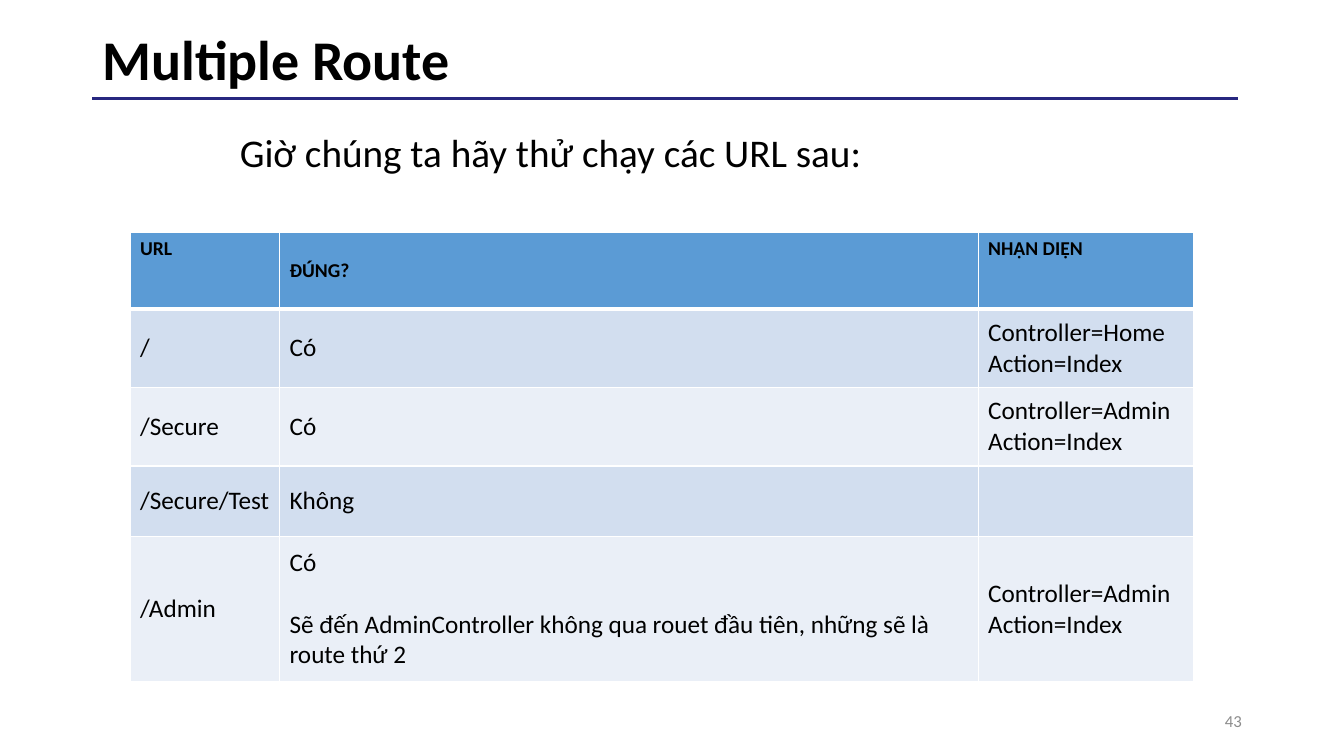
from lxml.etree import SubElement
from pptx import Presentation
from pptx.dml.color import RGBColor
from pptx.enum.shapes import MSO_CONNECTOR
from pptx.enum.text import MSO_ANCHOR, PP_ALIGN
from pptx.oxml.ns import qn
from pptx.util import Pt

THEME = {
    "font": "Calibri",
    "text": "000000", "muted": "8C8C8C", "rule": "272780", "border": "FFFFFF",
    "header": "5B9BD5", "bands": ("D2DEEF", "EAEFF7"),
    "title_size": 40, "lead_size": 28, "body_size": 18, "header_size": 14, "number_size": 12,
}


def add_run(p, text, size, color=THEME["text"], bold=False):
    r = p.add_run()
    r.text = text
    r.font.name = THEME["font"]
    r.font.size = Pt(size)
    r.font.bold = bold
    r.font.color.rgb = RGBColor.from_string(color)


def add_border(cell, side, width):
    ln = SubElement(cell._tc.get_or_add_tcPr(), qn("a:ln" + side), w=str(Pt(width)))
    fill = SubElement(ln, qn("a:solidFill"))
    SubElement(fill, qn("a:srgbClr"), val=THEME["border"])


prs = Presentation()
prs.slide_width, prs.slide_height = Pt(960), Pt(540)
s = prs.slides.add_slide(prs.slide_layouts[5])

rule = s.shapes.add_connector(MSO_CONNECTOR.STRAIGHT, Pt(884), Pt(70.5), Pt(66), Pt(70.5))
rule.line.color.rgb = RGBColor.from_string(THEME["rule"])
rule.line.width = Pt(2)
SubElement(rule._element.spPr, qn("a:effectLst"))

title = s.shapes.title
title.left, title.top, title.width, title.height = Pt(66), Pt(12.2), Pt(828), Pt(64)
title.text_frame.vertical_anchor = MSO_ANCHOR.MIDDLE
p = title.text_frame.paragraphs[0]
p.alignment = PP_ALIGN.LEFT
p.line_spacing = 0.9
add_run(p, "Multiple Route", THEME["title_size"], bold=True)

labels = [
    ("43", 678.2, 500.4, 216, 28.8, "number_size", "muted", PP_ALIGN.RIGHT, MSO_ANCHOR.MIDDLE),
    ("Giờ chúng ta hãy thử chạy các URL sau:", 164.2, 87.8, 461.5, 41, "lead_size", "text",
     PP_ALIGN.LEFT, MSO_ANCHOR.TOP),
]
for text, x, y, w, h, size, color, align, anchor in labels:
    tf = s.shapes.add_textbox(Pt(x), Pt(y), Pt(w), Pt(h)).text_frame
    tf.word_wrap = True
    tf.vertical_anchor = anchor
    p = tf.paragraphs[0]
    p.alignment = align
    add_run(p, text, THEME[size], THEME[color])

admin = ["Controller=Admin", "Action=Index"]
rows = [
    [["URL"], ["ĐÚNG?"], ["NHẬN DIỆN"]],
    [["/"], ["Có"], ["Controller=Home", "Action=Index"]],
    [["/Secure"], ["Có"], admin],
    [["/Secure/Test"], ["Không"], []],
    [["/Admin"],
     ["Có", "Sẽ đến AdminController không qua rouet đầu tiên, những sẽ là route thứ 2"], admin],
]
widths = [106.8, 499, 154]
heights = [54.7, 56.2, 56.2, 50.4, 103.7]
table = s.shapes.add_table(len(rows), len(widths), Pt(92.9), Pt(165.8),
                           Pt(sum(widths)), Pt(sum(heights))).table
for column, width in zip(table.columns, widths):
    column.width = Pt(width)
for i, (row, height) in enumerate(zip(rows, heights)):
    table.rows[i].height = Pt(height)
    is_header = i == 0
    for j, lines in enumerate(row):
        cell = table.cell(i, j)
        cell.vertical_anchor = MSO_ANCHOR.TOP if is_header and j != 1 else MSO_ANCHOR.MIDDLE
        if is_header and j == 1:
            cell.margin_top = cell.margin_bottom = Pt(7.2)
        for side in "LRTB":
            add_border(cell, side, 3 if (i, side) in ((0, "B"), (1, "T")) else 1)
        cell.fill.solid()
        color = THEME["header"] if is_header else THEME["bands"][(i - 1) % 2]
        cell.fill.fore_color.rgb = RGBColor.from_string(color)
        tf = cell.text_frame
        for k, line in enumerate(lines):
            p = tf.add_paragraph() if k else tf.paragraphs[0]
            if k and j == 1:
                p.space_before = Pt(22)
            add_run(p, line, THEME["header_size" if is_header else "body_size"], bold=is_header)

prs.save("out.pptx")
